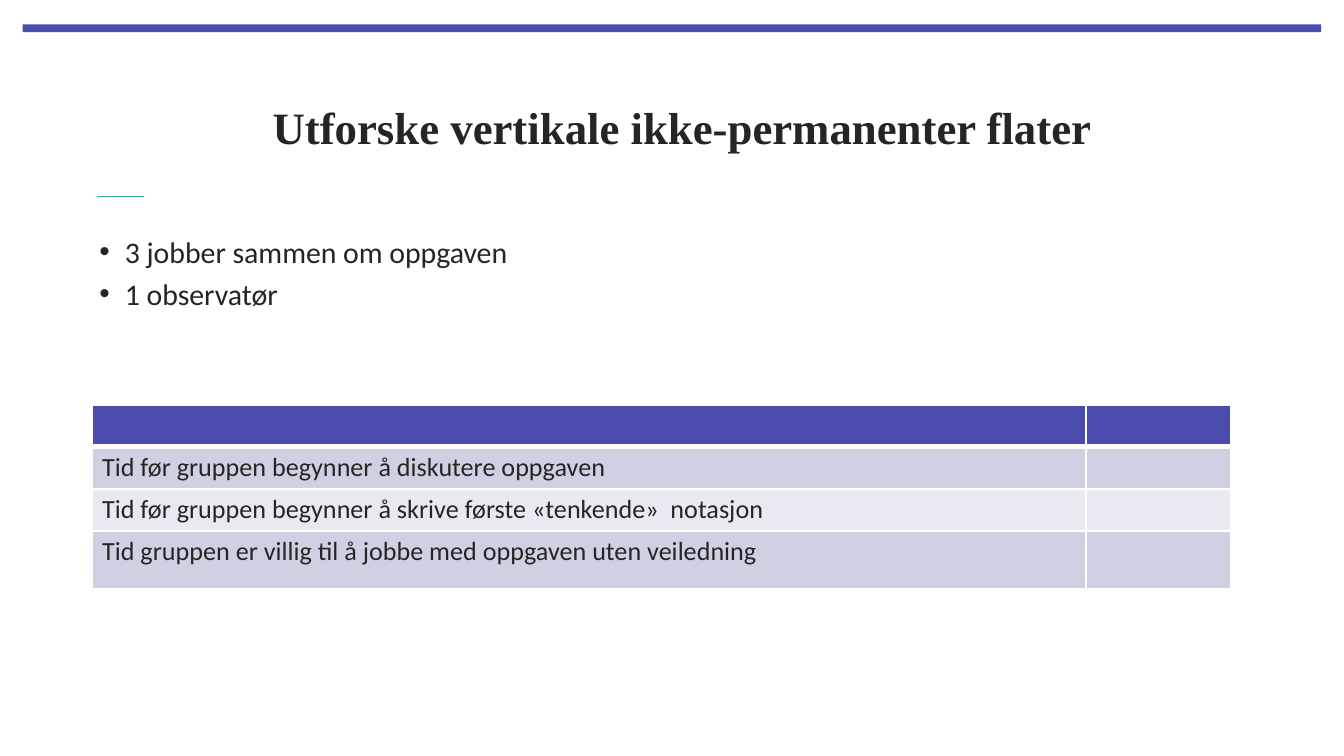
from dataclasses import dataclass

from lxml.etree import SubElement
from pptx import Presentation
from pptx.dml.color import RGBColor as Color
from pptx.enum.shapes import MSO_CONNECTOR as Connector, MSO_SHAPE as Shape
from pptx.enum.text import MSO_ANCHOR as Anchor, MSO_AUTO_SIZE as AutoSize, PP_ALIGN as Align
from pptx.oxml.ns import qn
from pptx.slide import Slide
from pptx.table import _Cell as Cell
from pptx.text.text import _Paragraph as Paragraph
from pptx.util import Cm, Pt


@dataclass(frozen=True)
class Theme:
    ink: str = "252525"
    violet: str = "4B4CAD"
    teal: str = "3BAFA2"
    white: str = "FFFFFF"
    bands: tuple[str, str] = ("D0D0E3", "E9E9F1")
    heading_font: str = "Times New Roman"
    body_font: str = "Calibri"
    heading_size: float = 24
    bullet_size: float = 16
    table_size: float = 14


@dataclass(frozen=True)
class Area:
    left: float
    top: float
    width: float
    height: float

    def lengths(self) -> tuple[Cm, Cm, Cm, Cm]:
        return Cm(self.left), Cm(self.top), Cm(self.width), Cm(self.height)


@dataclass(frozen=True)
class TableRow:
    label: str
    fill: str
    height: float = 0.76
    bottom_line: float = 1


THEME = Theme()
TITLE = "Utforske vertikale ikke-permanenter flater"
BULLETS = ("3 jobber sammen om oppgaven", "1 observatør")
COLUMN_WIDTHS = (18.77, 2.74)
ROWS = (
    TableRow("", THEME.violet, bottom_line=3),
    TableRow("Tid før gruppen begynner å diskutere oppgaven", THEME.bands[0]),
    TableRow("Tid før gruppen begynner å skrive første «tenkende»  notasjon", THEME.bands[1]),
    TableRow("Tid gruppen er villig til å jobbe med oppgaven uten veiledning", THEME.bands[0], 1.09),
)


def add_span(para: Paragraph, text: str, size: float, font: str, bold: bool = False) -> None:
    span = para.add_run()
    span.text = text
    span.font.size = Pt(size)
    span.font.name = font
    span.font.bold = bold
    span.font.color.rgb = Color.from_string(THEME.ink)


def add_decoration(page: Slide) -> None:
    bar = page.shapes.add_shape(Shape.RECTANGLE, *Area(0.43, 0.46, 24.54, 0.15).lengths())
    bar.shadow.inherit = False
    bar.fill.solid()
    bar.fill.fore_color.rgb = Color.from_string(THEME.violet)
    bar.line.fill.background()
    rule = page.shapes.add_connector(Connector.STRAIGHT, Cm(1.83), Cm(3.71), Cm(2.72), Cm(3.71))
    rule.line.color.rgb = Color.from_string(THEME.teal)
    rule.line.width = Pt(0.5)
    SubElement(rule._element.spPr, qn("a:effectLst"))


def add_title(page: Slide, area: Area) -> None:
    title = page.shapes.title
    title.left, title.top, title.width, title.height = area.lengths()
    frame = title.text_frame
    frame.auto_size = AutoSize.NONE
    frame.word_wrap = True
    frame.vertical_anchor = Anchor.MIDDLE
    frame.margin_left = frame.margin_top = frame.margin_right = frame.margin_bottom = 0
    para = frame.paragraphs[0]
    para.alignment = Align.CENTER
    add_span(para, TITLE, THEME.heading_size, THEME.heading_font, bold=True)


def add_bullets(page: Slide, area: Area) -> None:
    frame = page.shapes.add_textbox(*area.lengths()).text_frame
    frame.word_wrap = True
    frame.margin_top = frame.margin_bottom = 0
    for index, text in enumerate(BULLETS):
        para = frame.add_paragraph() if index else frame.paragraphs[0]
        properties = para._p.get_or_add_pPr()
        properties.set("marL", str(Cm(0.48)))
        properties.set("indent", str(-Cm(0.48)))
        SubElement(properties, qn("a:buFont"), typeface="Arial")
        SubElement(properties, qn("a:buChar"), char="•")
        if index:
            para.space_before = Pt(0.2 * THEME.bullet_size)
        add_span(para, text, THEME.bullet_size, THEME.body_font)


def add_border(cell: Cell, side: str, points: float) -> None:
    line = SubElement(cell._tc.get_or_add_tcPr(), qn(f"a:ln{side}"), w=str(Pt(points)))
    paint = SubElement(line, qn("a:solidFill"))
    SubElement(paint, qn("a:srgbClr"), val=THEME.white)


def fill_cell(cell: Cell, row: TableRow, text: str) -> None:
    cell.margin_left = cell.margin_right = Cm(0.18)
    cell.margin_top = cell.margin_bottom = Cm(0.1)
    for side in "LRT":
        add_border(cell, side, 1)
    add_border(cell, "B", row.bottom_line)
    cell.fill.solid()
    cell.fill.fore_color.rgb = Color.from_string(row.fill)
    para = cell.text_frame.paragraphs[0]
    if text:
        add_span(para, text, THEME.table_size, THEME.body_font)
    else:
        SubElement(para._p, qn("a:endParaRPr"), sz=str(int(THEME.table_size * 100)))


def add_time_table(page: Slide, left: float, top: float) -> None:
    area = Area(left, top, sum(COLUMN_WIDTHS), sum(row.height for row in ROWS))
    table = page.shapes.add_table(len(ROWS), len(COLUMN_WIDTHS), *area.lengths()).table
    for column, width in zip(table.columns, COLUMN_WIDTHS):
        column.width = Cm(width)
    for table_row, row in zip(table.rows, ROWS):
        table_row.height = Cm(row.height)
        for cell, text in zip(table_row.cells, (row.label, "")):
            fill_cell(cell, row, text)


def main() -> None:
    deck = Presentation()
    deck.slide_width, deck.slide_height = Cm(25.4), Cm(14.29)
    page = deck.slides.add_slide(deck.slide_layouts[5])
    add_decoration(page)
    add_title(page, Area(1.83, 1.19, 22.12, 2.39))
    add_bullets(page, Area(1.63, 4.42, 22.3, 7.92))
    add_time_table(page, 1.75, 7.65)
    deck.save("out.pptx")


if __name__ == "__main__":
    main()
